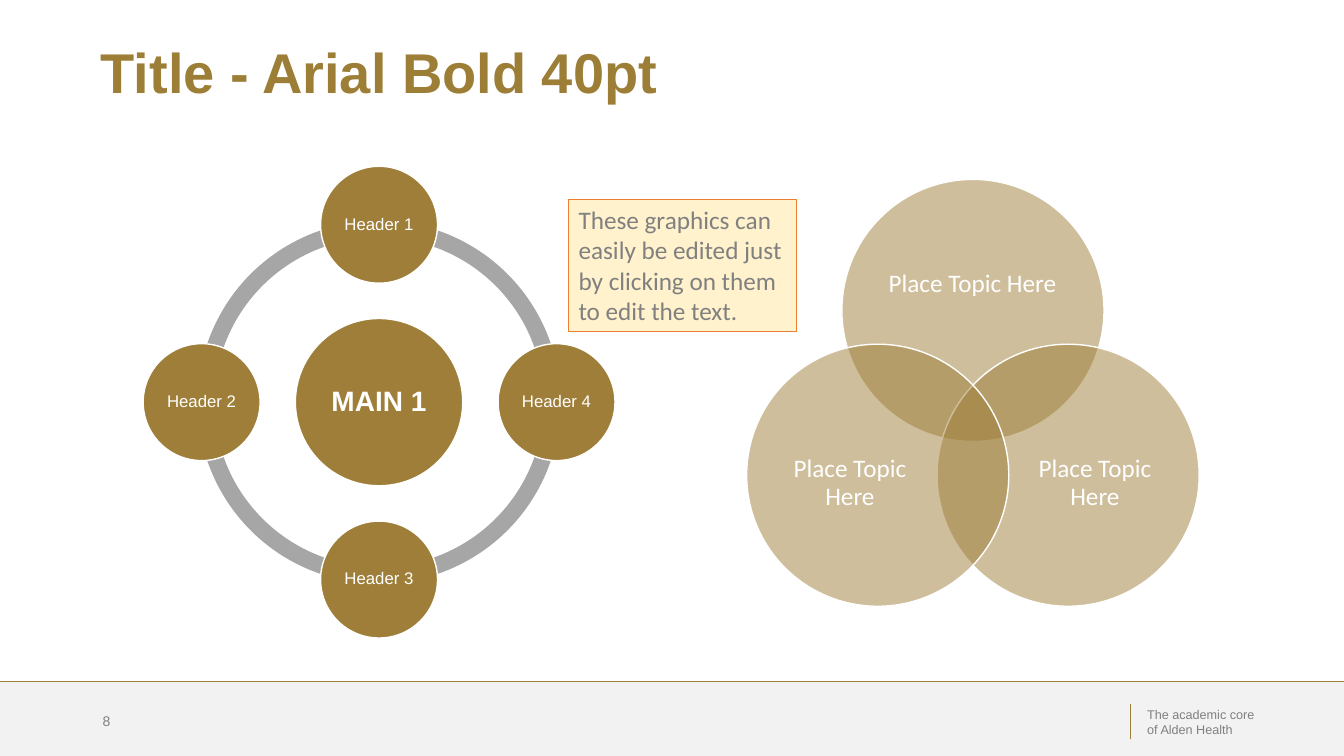
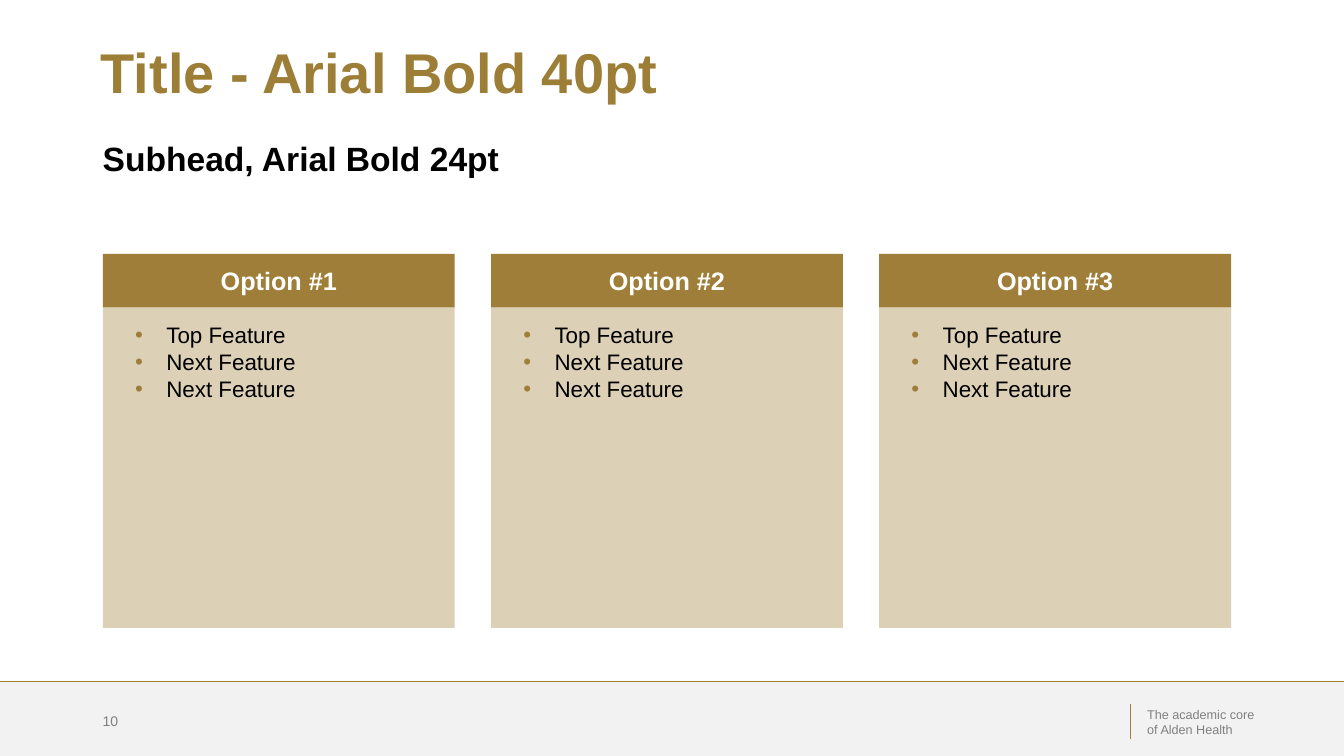
"""Build two template slides: editable circle graphics and a three-option comparison."""
from dataclasses import dataclass
from math import cos, radians, sin

from lxml import etree
from pptx import Presentation
from pptx.dml.color import RGBColor
from pptx.enum.shapes import MSO_CONNECTOR, MSO_SHAPE
from pptx.enum.text import MSO_ANCHOR, PP_ALIGN
from pptx.oxml.ns import qn
from pptx.util import Inches, Pt

RECT, OVAL, RING = MSO_SHAPE.RECTANGLE, MSO_SHAPE.OVAL, MSO_SHAPE.DONUT
STRAIGHT = MSO_CONNECTOR.STRAIGHT
LEFT, CENTER = PP_ALIGN.LEFT, PP_ALIGN.CENTER
TOP, MIDDLE = MSO_ANCHOR.TOP, MSO_ANCHOR.MIDDLE


@dataclass(frozen=True)
class Theme:
    gold: str = "9E7E38"
    title_gold: str = "9D7E37"
    gray: str = "808080"
    band: str = "F2F2F2"
    white: str = "FFFFFF"
    black: str = "000000"
    note: str = "FFF2CC"
    note_edge: str = "ED7D31"
    font: str = "Arial"
    graphic_font: str = "Calibri"
    title: int = 40
    subhead: int = 24
    hub: int = 20
    heading: int = 18
    body: int = 16
    label: int = 12
    page: int = 10
    footer: int = 9


THEME = Theme()


def write(shape, text, size, color, font=THEME.font, bold=False, align=LEFT, anchor=TOP,
          spacing=None, insets=(0.1, 0.05, 0.1, 0.05), bullet=None):
    frame = shape.text_frame
    frame.word_wrap = True
    frame.vertical_anchor = anchor
    frame.margin_left, frame.margin_top, frame.margin_right, frame.margin_bottom = map(Inches, insets)
    frame.text = text
    for paragraph in frame.paragraphs:
        paragraph.alignment = align
        if spacing:
            paragraph.line_spacing = spacing
        if bullet:
            properties = paragraph._p.get_or_add_pPr()
            properties.set("marL", str(Inches(0.31)))
            properties.set("indent", str(-Inches(0.31)))
            bullet_color = etree.SubElement(properties, qn("a:buClr"))
            etree.SubElement(bullet_color, qn("a:srgbClr"), val=bullet)
            etree.SubElement(properties, qn("a:buFont"), typeface=THEME.font)
            etree.SubElement(properties, qn("a:buChar"), char="•")
        for run in paragraph.runs:
            run.font.name, run.font.size, run.font.bold = font, Pt(size), bold
            run.font.color.rgb = RGBColor.from_string(color)


def draw(slide, kind, left, top, width, height, fill, edge=None, edge_width=1, opacity=100):
    shape = slide.shapes.add_shape(kind, Inches(left), Inches(top), Inches(width), Inches(height))
    shape.shadow.inherit = False
    shape.fill.solid()
    shape.fill.fore_color.rgb = RGBColor.from_string(fill)
    if opacity < 100:
        fill_color = shape._element.spPr.find(qn("a:solidFill"))[0]
        etree.SubElement(fill_color, qn("a:alpha"), val=str(opacity * 1000))
    if edge:
        shape.line.color.rgb = RGBColor.from_string(edge)
        shape.line.width = Pt(edge_width)
    else:
        shape.line.fill.background()
    return shape


deck = Presentation()
deck.slide_width, deck.slide_height = Inches(13.33), Inches(7.5)
title_only = deck.slide_layouts[5]

for page in ("8", "10"):
    slide = deck.slides.add_slide(title_only)
    draw(slide, RECT, 0, 6.76, 13.33, 0.74, THEME.band)
    for x1, y1, x2, y2, color in ((0, 6.76, 13.33, 6.76, THEME.gold),
                                  (11.21, 6.98, 11.21, 7.33, THEME.title_gold)):
        rule = slide.shapes.add_connector(STRAIGHT, Inches(x1), Inches(y1), Inches(x2), Inches(y2))
        rule.line.color.rgb = RGBColor.from_string(color)
        rule.line.width = Pt(0.75)
        etree.SubElement(rule._element.spPr, qn("a:effectLst"))
    tagline = slide.shapes.add_textbox(Inches(11.28), Inches(6.96), Inches(1.37), Inches(0.4))
    write(tagline, "The academic core of Alden Health", THEME.footer, THEME.gray)
    page_number = slide.shapes.add_textbox(Inches(0.92), Inches(6.95), Inches(3), Inches(0.4))
    write(page_number, page, THEME.page, THEME.gray, anchor=MIDDLE)
    title = slide.shapes.title
    title.left, title.top, title.width, title.height = map(Inches, (0.9, 0.4, 10.82, 0.96))
    write(title, "Title - Arial Bold 40pt", THEME.title, THEME.title_gold, bold=True, spacing=0.9)

graphics, options = deck.slides

wheel_x, wheel_y, spoke = 3.76, 3.99, 1.76
ring = draw(graphics, RING, wheel_x - 1.8, wheel_y - 1.8, 3.6, 3.6, THEME.black, opacity=35)
ring.adjustments[0] = 0.046
hub = draw(graphics, OVAL, wheel_x - 0.83, wheel_y - 0.83, 1.66, 1.66, THEME.gold, THEME.white)
write(hub, "MAIN 1", THEME.hub, THEME.white, bold=True, align=CENTER, anchor=MIDDLE,
      spacing=0.9, insets=(0.03,) * 4)
for header, angle in (("Header 1", 270), ("Header 4", 0), ("Header 3", 90), ("Header 2", 180)):
    x = wheel_x + spoke * cos(radians(angle))
    y = wheel_y + spoke * sin(radians(angle))
    satellite = draw(graphics, OVAL, x - 0.58, y - 0.58, 1.16, 1.16, THEME.gold, THEME.white)
    write(satellite, header, THEME.label, THEME.white, align=CENTER, anchor=MIDDLE,
          spacing=0.9, insets=(0.02,) * 4)

venn_x, venn_y, venn_reach = 9.65, 4.17, 1.09
for angle, topic_box in ((270, (8.69, 2.24, 1.91, 1.17)),
                         (30, (10.08, 4.08, 1.56, 1.43)),
                         (150, (7.65, 4.08, 1.56, 1.43))):
    x = venn_x + venn_reach * cos(radians(angle))
    y = venn_y + venn_reach * sin(radians(angle))
    draw(graphics, OVAL, x - 1.3, y - 1.3, 2.6, 2.6, THEME.gold, THEME.white, opacity=50)
    topic = graphics.shapes.add_textbox(*map(Inches, topic_box))
    write(topic, "Place Topic Here", THEME.heading, THEME.white, font=THEME.graphic_font,
          align=CENTER, anchor=MIDDLE, spacing=0.9, insets=(0,) * 4)

editing_note = draw(graphics, RECT, 5.64, 1.98, 2.26, 1.31, THEME.note, THEME.note_edge, 0.75)
write(editing_note, "These graphics can easily be edited just by clicking on them to edit the text.",
      THEME.heading, THEME.gray, font=THEME.graphic_font)

subhead = options.shapes.add_textbox(Inches(0.92), Inches(1.43), Inches(10.9), Inches(0.53))
write(subhead, "Subhead, Arial Bold 24pt", THEME.subhead, THEME.black, bold=True, spacing=0.7)

option_width, option_pitch = 3.49, 3.85
for index in range(3):
    left = 1.02 + index * option_pitch
    heading = draw(options, RECT, left, 2.52, option_width, 0.53, THEME.gold)
    write(heading, f"Option #{index + 1}", THEME.heading, THEME.white, bold=True,
          align=CENTER, anchor=MIDDLE)
    features = draw(options, RECT, left, 3.05, option_width, 3.18, THEME.gold, opacity=36)
    write(features, "Top Feature\nNext Feature\nNext Feature", THEME.body, THEME.black,
          insets=(0.32, 0.14, 0.32, 0.05), bullet=THEME.gold)

deck.save("out.pptx")
